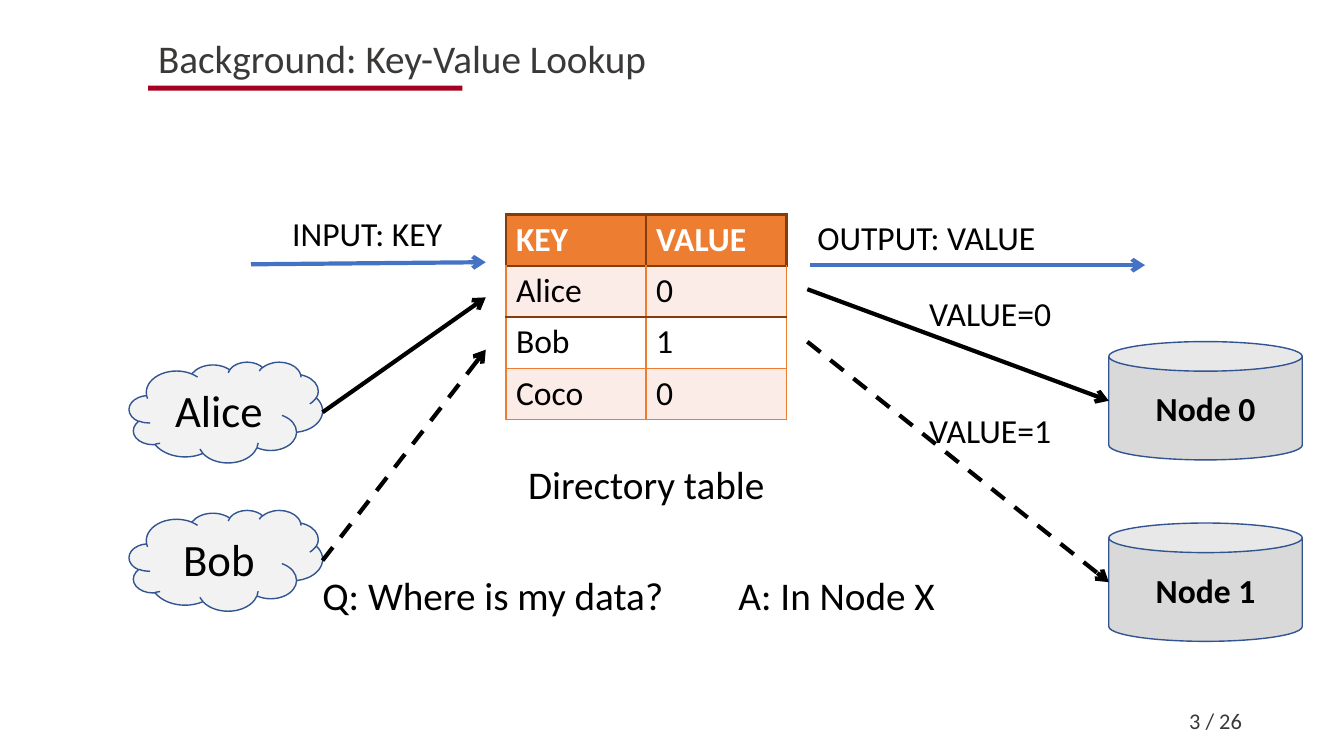
from dataclasses import dataclass

from lxml.etree import SubElement
from pptx import Presentation
from pptx.dml.color import RGBColor
from pptx.enum.dml import MSO_LINE
from pptx.enum.shapes import MSO_CONNECTOR, MSO_SHAPE
from pptx.enum.text import MSO_ANCHOR, MSO_AUTO_SIZE, PP_ALIGN
from pptx.oxml.ns import qn
from pptx.slide import Slide
from pptx.table import _Cell
from pptx.text.text import TextFrame
from pptx.util import Pt

FONT = "Calibri"
BLACK = RGBColor(0x00, 0x00, 0x00)
WHITE = RGBColor(0xFF, 0xFF, 0xFF)
GRAPHITE = RGBColor(0x3B, 0x38, 0x38)
CRIMSON = RGBColor(0xA5, 0x00, 0x21)
BLUE = RGBColor(0x44, 0x72, 0xC4)
OUTLINE_BLUE = RGBColor(0x32, 0x54, 0x91)
ORANGE = RGBColor(0xED, 0x7D, 0x31)
BROWN = RGBColor(0x84, 0x3C, 0x0B)
PEACH = RGBColor(0xFC, 0xEC, 0xE8)
CLOUD_GREY = RGBColor(0xF2, 0xF2, 0xF2)
NODE_GREY = RGBColor(0xD9, 0xD9, 0xD9)

SYMBOL_WIDTH = 138.2
CLOUD_LEFT, CLOUD_TOP, CLOUD_HEIGHT, CLOUD_STEP = 92.2, 258.5, 72, 105.9
NODE_LEFT, NODE_TOP, NODE_HEIGHT, NODE_STEP = 792, 244, 84.5, 129.6
KEY_ARROW_END, VALUE_ARROW_START = 347, 576.7
ROW_HEIGHT, COLUMN_WIDTH = 36, 100.1


@dataclass
class Label:
    text: str
    left: float
    top: float
    width: float
    height: float
    size: float = 24
    color: RGBColor = BLACK
    wrap: bool = False
    align: PP_ALIGN = PP_ALIGN.LEFT
    anchor: MSO_ANCHOR = MSO_ANCHOR.TOP


@dataclass
class Symbol:
    kind: MSO_SHAPE
    text: str
    left: float
    top: float
    height: float
    fill: RGBColor
    size: float
    bold: bool


@dataclass
class Arrow:
    start: tuple[float, float]
    end: tuple[float, float]
    color: RGBColor = BLACK
    dashed: bool = False


@dataclass
class Lookup:
    client: str
    node: str
    value_label: str
    label_top: float
    key_y: float
    value_y: float
    dashed: bool


LABELS = [
    Label("Background: Key-Value Lookup", 105.8, 20.9, 771.8, 41, 28, GRAPHITE, True),
    Label("3 / 26", 678.2, 500.4, 216, 28.8, 16, GRAPHITE, True,
          PP_ALIGN.RIGHT, MSO_ANCHOR.MIDDLE),
    Label("INPUT: KEY", 201.6, 148.3, 123.1, 36),
    Label("OUTPUT: VALUE", 576.7, 151.2, 172.1, 36),
    Label("Q: Where is my data?", 223.2, 404.6, 260.6, 41, 28),
    Label(" A: In Node X", 514.1, 404.6, 162.7, 41, 28),
    Label("Directory table", 370.1, 325.4, 185, 41, 28),
]
FLOW_ARROWS = [
    Arrow((179.3, 188.8), (KEY_ARROW_END, 187.3), BLUE),
    Arrow((578.9, 189.4), (817.9, 189.4), BLUE),
]
LOOKUPS = [
    Lookup("Alice", "Node 0", "VALUE=0", 205.9, 212.4, 206.6, False),
    Lookup("Bob", "Node 1", "VALUE=1", 289.4, 249.8, 244.1, True),
]
DIRECTORY = [("KEY", "VALUE"), ("Alice", "0"), ("Bob", "1"), ("Coco", "0")]


def write_text(frame: TextFrame, text: str, size: float, color: RGBColor,
               bold: bool = False, align: PP_ALIGN = PP_ALIGN.LEFT) -> None:
    frame.text = text
    para = frame.paragraphs[0]
    para.alignment = align
    span = para.runs[0]
    span.font.name = FONT
    span.font.size = Pt(size)
    span.font.bold = bold
    span.font.color.rgb = color


def add_label(page: Slide, label: Label) -> None:
    box = page.shapes.add_textbox(Pt(label.left), Pt(label.top),
                                  Pt(label.width), Pt(label.height))
    frame = box.text_frame
    write_text(frame, label.text, label.size, label.color, align=label.align)
    frame.word_wrap = label.wrap
    frame.vertical_anchor = label.anchor
    if label.anchor == MSO_ANCHOR.TOP:
        frame.auto_size = MSO_AUTO_SIZE.SHAPE_TO_FIT_TEXT


def add_symbol(page: Slide, symbol: Symbol) -> None:
    shape = page.shapes.add_shape(symbol.kind, Pt(symbol.left), Pt(symbol.top),
                                  Pt(SYMBOL_WIDTH), Pt(symbol.height))
    shape.shadow.inherit = False
    shape.fill.solid()
    shape.fill.fore_color.rgb = symbol.fill
    shape.line.color.rgb = OUTLINE_BLUE
    shape.line.width = Pt(1)
    write_text(shape.text_frame, symbol.text, symbol.size, BLACK, symbol.bold, PP_ALIGN.CENTER)
    shape.text_frame.vertical_anchor = MSO_ANCHOR.MIDDLE


def add_arrow(page: Slide, arrow: Arrow) -> None:
    connector = page.shapes.add_connector(
        MSO_CONNECTOR.STRAIGHT, *(Pt(value) for value in arrow.start + arrow.end))
    connector.line.color.rgb = arrow.color
    connector.line.width = Pt(3)
    if arrow.dashed:
        connector.line.dash_style = MSO_LINE.DASH
    properties = connector._element.spPr
    SubElement(properties.find(qn("a:ln")), qn("a:tailEnd"), type="arrow")
    SubElement(properties, qn("a:effectLst"))


def set_border(cell: _Cell, side: str, color: RGBColor, width: float) -> None:
    border = SubElement(cell._tc.get_or_add_tcPr(), qn(f"a:ln{side}"), w=str(Pt(width)))
    fill = SubElement(border, qn("a:solidFill"))
    SubElement(fill, qn("a:srgbClr"), val=str(color))


def add_directory(page: Slide) -> None:
    table = page.shapes.add_table(
        len(DIRECTORY), 2, Pt(361.4), Pt(153.4),
        Pt(2 * COLUMN_WIDTH), Pt(len(DIRECTORY) * ROW_HEIGHT)).table
    table.horz_banding = False
    for column in table.columns:
        column.width = Pt(COLUMN_WIDTH)
    for row, entry in enumerate(DIRECTORY):
        table.rows[row].height = Pt(ROW_HEIGHT)
        header = row == 0
        for column, text in enumerate(entry):
            cell = table.cell(row, column)
            write_text(cell.text_frame, text, 24, WHITE if header else BLACK, header)
            borders = dict.fromkeys("LRTB", (BROWN, 2.25) if header else (ORANGE, 1))
            if row == 1:
                borders.update(T=(BROWN, 2.25), B=(BROWN, 1.5))
            elif row == 2:
                borders["T"] = (BROWN, 1.5)
            for side, (color, width) in borders.items():
                set_border(cell, side, color, width)
            cell.fill.solid()
            cell.fill.fore_color.rgb = ORANGE if header else PEACH if row % 2 else WHITE


def add_lookup(page: Slide, index: int, lookup: Lookup) -> None:
    cloud_top = CLOUD_TOP + index * CLOUD_STEP
    node_top = NODE_TOP + index * NODE_STEP
    add_symbol(page, Symbol(MSO_SHAPE.CLOUD, lookup.client, CLOUD_LEFT, cloud_top,
                            CLOUD_HEIGHT, CLOUD_GREY, 32, False))
    add_symbol(page, Symbol(MSO_SHAPE.CAN, lookup.node, NODE_LEFT, node_top,
                            NODE_HEIGHT, NODE_GREY, 24, True))
    add_arrow(page, Arrow((CLOUD_LEFT + SYMBOL_WIDTH, cloud_top + CLOUD_HEIGHT / 2),
                          (KEY_ARROW_END, lookup.key_y), dashed=lookup.dashed))
    add_arrow(page, Arrow((VALUE_ARROW_START, lookup.value_y),
                          (NODE_LEFT, node_top + NODE_HEIGHT / 2), dashed=lookup.dashed))
    add_label(page, Label(lookup.value_label, 656.6, lookup.label_top, 103, 36))


def main() -> None:
    deck = Presentation()
    deck.slide_width, deck.slide_height = Pt(960), Pt(540)
    page = deck.slides.add_slide(deck.slide_layouts[6])
    underline = page.shapes.add_shape(MSO_SHAPE.RECTANGLE, Pt(105.8), Pt(61.2), Pt(224.6), Pt(3.6))
    underline.shadow.inherit = False
    underline.fill.solid()
    underline.fill.fore_color.rgb = CRIMSON
    underline.line.fill.background()
    add_directory(page)
    for arrow in FLOW_ARROWS:
        add_arrow(page, arrow)
    for index, lookup in enumerate(LOOKUPS):
        add_lookup(page, index, lookup)
    for label in LABELS:
        add_label(page, label)
    deck.save("out.pptx")


if __name__ == "__main__":
    main()
